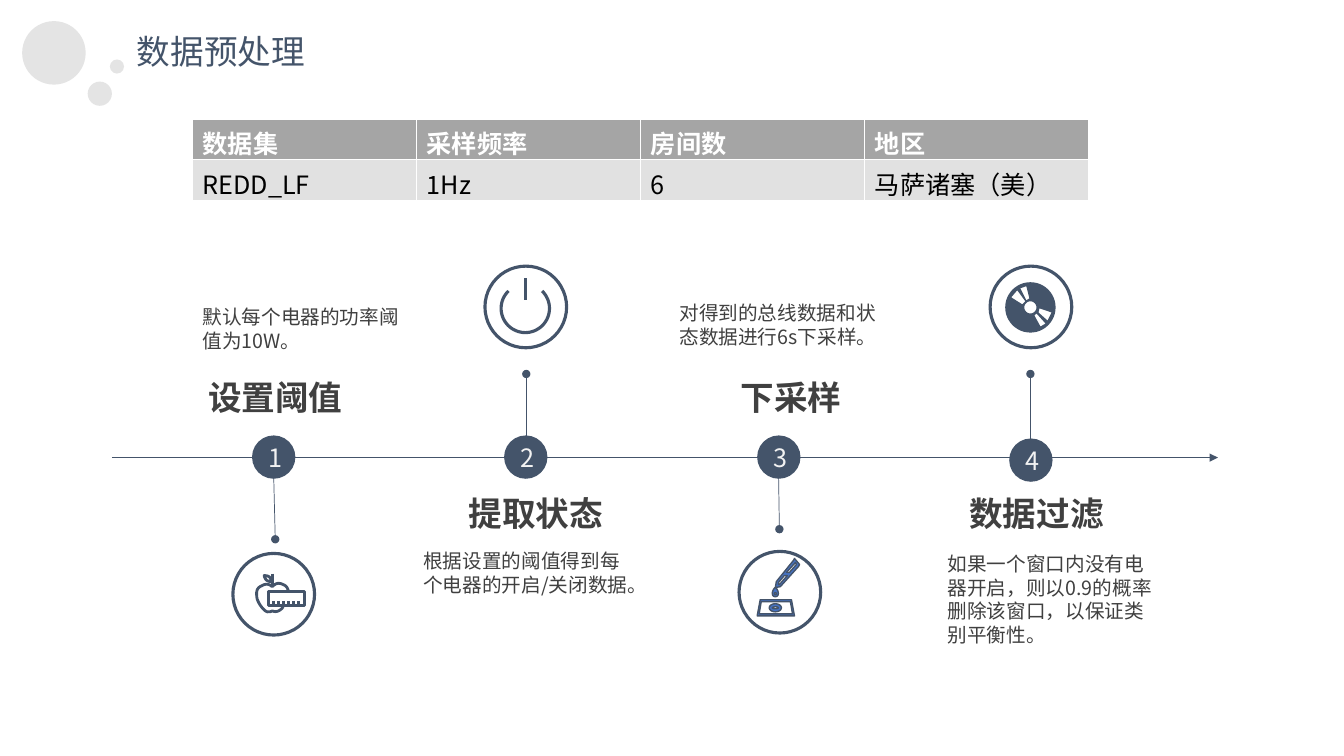
import math

from lxml import etree
from pptx import Presentation
from pptx import util as u
from pptx.dml.color import RGBColor
from pptx.enum import shapes, text
from pptx.oxml.ns import qn

PX = 9144  # 100 px to the inch
FONT = "Noto Sans CJK SC"
NAVY = RGBColor(0x44, 0x54, 0x6A)
BLUE = RGBColor(0x44, 0x72, 0xC4)
INK = RGBColor(0x40, 0x40, 0x40)
BLACK = RGBColor(0, 0, 0)
WHITE = RGBColor(0xFF, 0xFF, 0xFF)
PALE = RGBColor(0xF2, 0xF2, 0xF2)
BUBBLE = RGBColor(0xD9, 0xD9, 0xD9)
HEADER = RGBColor(0xA5, 0xA5, 0xA5)
BODY = RGBColor(0xE1, 0xE1, 0xE1)

TABLE = [["数据集", "采样频率", "房间数", "地区"],
         ["REDD_LF", "1Hz", "6", "马萨诸塞（美）"]]


def emu(*lengths):
    return [u.Emu(round(length * PX)) for length in lengths]


def style_text(frame, size, color, bold=False):
    for para in frame.paragraphs:
        for span in para.runs:
            font = span.font
            font.size, font.bold, font.name = u.Pt(size), bold, FONT
            font.color.rgb = color
            etree.SubElement(font._element, qn("a:ea"), typeface=FONT)


def paint(shape, fill=None, line=None, width=1):
    shape.shadow.inherit = False
    if fill is None:
        shape.fill.background()
    else:
        shape.fill.solid()
        shape.fill.fore_color.rgb = fill
    if line is None:
        shape.line.fill.background()
    else:
        shape.line.color.rgb = line
        shape.line.width = u.Pt(width)


def add_text(page, box, words, size, color, bold=False, wrap=True):
    frame = page.shapes.add_textbox(*emu(*box)).text_frame
    frame.text = words
    frame.word_wrap = wrap
    frame.auto_size = text.MSO_AUTO_SIZE.SHAPE_TO_FIT_TEXT
    style_text(frame, size, color, bold)
    return frame.paragraphs[0]


def add_line(page, start, end, head=None, tail=None):
    line = page.shapes.add_connector(shapes.MSO_CONNECTOR.STRAIGHT, *emu(*start, *end))
    line.line.color.rgb = NAVY
    line.line.width = u.Pt(0.5)
    for tag, kind in (("a:headEnd", head), ("a:tailEnd", tail)):
        if kind:
            etree.SubElement(line.line._get_or_add_ln(), qn(tag), type=kind)
    etree.SubElement(line._element.spPr, qn("a:effectLst"))


def arc(cx, cy, rx, ry, start=0, end=360):
    angles = [math.radians(start + (end - start) * i / 48) for i in range(49)]
    return [(cx + rx * math.cos(a), cy + ry * math.sin(a)) for a in angles]


def curve(start, *pieces):
    """Flatten a chain of cubic Bezier pieces, each given by three points."""
    points = [start]
    for b, c, d in pieces:
        a = points[-1]
        for t in (i / 8 for i in range(1, 9)):
            s = 1 - t
            points.append(tuple(s**3 * a[k] + 3 * s * s * t * b[k] + 3 * s * t * t * c[k]
                                + t**3 * d[k] for k in (0, 1)))
    return points


def add_outline(page, origin, contours, close=True, **look):
    """Draw contours, measured from origin, as one shape."""
    placed = [[emu(origin[0] + x, origin[1] + y) for x, y in c] for c in contours]
    builder = page.shapes.build_freeform(*placed[0][0])
    for index, points in enumerate(placed):
        if index:
            builder.move_to(*points[0])
        builder.add_line_segments(points[1:], close=close)
    paint(builder.convert_to_shape(), **look)


def draw_ruler_apple(page, origin):
    apple = curve((55, 37), ((54, 34), (53, 32), (50, 31)), ((46, 29), (43, 29), (39, 33)),
                  ((36, 30), (32, 30), (29, 32)), ((23, 34), (23, 39), (24, 45)),
                  ((26, 51), (31, 57), (34, 58)), ((36, 58), (38, 58), (39, 57)),
                  ((43, 59), (47, 57), (50, 53)))
    leaf = curve((31, 22), ((36, 22), (38, 24), (38, 28)), ((34, 28), (32, 26), (31, 22)))
    ruler = [(35, 38), (71, 38), (71, 52), (35, 52), (35, 38)]
    ticks = [[(x, 47), (x, 52)] for x in range(40, 66, 5)]
    add_outline(page, origin, [apple, leaf, ruler, [(39, 20), (39, 33)], *ticks],
                close=False, line=NAVY, width=2)


def draw_power(page, origin):
    add_outline(page, origin, [arc(40, 42, 24, 24, -46, 226), [(40, 12), (40, 34)]],
                close=False, line=NAVY, width=2.25)


def draw_dropper(page, origin):
    dropper = [(55, 7), (60, 13), (59, 15), (41, 35), (36, 36), (37, 30), (54, 9)]
    window = [(56, 11), (47, 21), (50, 21), (57, 13)]
    liquid = [(45, 24), (39, 31), (39, 33), (40, 33), (48, 24)]
    drop = curve((36, 36), ((37, 36), (39, 39), (39, 42)), ((39, 46), (33, 46), (33, 42)),
                 ((33, 39), (35, 36), (36, 36)))
    tray = [(21, 48), (52, 48), (55, 64), (18, 64)]
    inside = [(22, 50), (51, 50), (53, 62), (20, 62)]
    add_outline(page, origin, [dropper, window, liquid, drop, arc(36, 42, 1, 1), tray, inside,
                               arc(36, 56, 6, 4), arc(36, 56, 3, 1)],
                fill=BLUE, line=NAVY)


def draw_disc(page, origin):
    glints = [[(36, 34), (39, 32), (36, 20), (30, 22)], [(21, 31), (32, 38), (35, 35), (27, 24)],
              [(46, 47), (44, 49), (50, 60), (55, 57)], [(61, 46), (49, 42), (48, 46), (57, 54)]]
    add_outline(page, origin, [arc(40, 41, 25, 25), arc(40, 41, 6, 6), *glints], fill=NAVY)


# badge place, stem ends, ring place, icon, heading box, heading, note box, note
STEPS = [
    ((250, 432), ((271, 453), (273, 535)), (231, 549), draw_ruler_apple,
     (187, 372, 172, 48), "设置阈值",
     (191, 298, 225, 57), "默认每个电器的功率阈值为10W。"),
    ((500, 432), ((522, 371), (522, 469)), (481, 264), draw_power,
     (449, 487, 165, 48), "提取状态",
     (410, 540, 225, 57), "根据设置的阈值得到每个电器的开启/关闭数据。"),
    ((751, 432), ((772, 456), (773, 525)), (733, 547), draw_dropper,
     (702, 372, 165, 48), "下采样",
     (664, 294, 225, 57), "对得到的总线数据和状态数据进行6s下采样。"),
    ((1001, 435), ((1022, 371), (1022, 445)), (982, 264), draw_disc,
     (950, 487, 156, 48), "数据过滤",
     (930, 543, 225, 104), "如果一个窗口内没有电器开启，则以0.9的概率删除该窗口，以保证类别平衡性。"),
]


def add_title(page, left, top):
    for x, y, size in ((0, 0, 63), (65, 60, 24), (87, 38, 14)):
        bubble = page.shapes.add_shape(shapes.MSO_SHAPE.FLOWCHART_CONNECTOR,
                                       *emu(left + x, top + y, size, size))
        paint(bubble, fill=BUBBLE)
        color = bubble._element.spPr.find(qn("a:solidFill"))[0]
        etree.SubElement(color, qn("a:alpha"), val="70000")
    add_text(page, (left + 104, top + 5, 188, 50), "数据预处理", 24, NAVY, wrap=False)


def add_dataset_table(page, box):
    table = page.shapes.add_table(len(TABLE), len(TABLE[0]), *emu(*box)).table
    for r, row in enumerate(TABLE):
        for c, words in enumerate(row):
            cell = table.cell(r, c)
            cell.text = words
            cell.fill.solid()
            cell.fill.fore_color.rgb = BODY if r else HEADER
            style_text(cell.text_frame, 18, BLACK if r else WHITE, bold=not r)


def add_step(page, number, badge_at, ring_at, draw_icon, heading_box, heading, note_box, note):
    badge = page.shapes.add_shape(shapes.MSO_SHAPE.OVAL, *emu(*badge_at, 43, 43))
    paint(badge, fill=NAVY)
    frame = badge.text_frame
    frame.text = str(number)
    frame.vertical_anchor = text.MSO_ANCHOR.MIDDLE
    frame.paragraphs[0].alignment = text.PP_ALIGN.CENTER
    style_text(frame, 18, PALE)
    ring = page.shapes.add_shape(shapes.MSO_SHAPE.OVAL, *emu(*ring_at, 81, 81))
    paint(ring, line=NAVY, width=2.25)
    draw_icon(page, ring_at)
    add_text(page, note_box, note, 14, INK)
    para = add_text(page, heading_box, heading, 24, INK, bold=True)
    para.alignment = text.PP_ALIGN.CENTER
    para.line_spacing = 0.94


def add_timeline(page, left, top, width):
    for _, (start, end), *_ in STEPS:
        add_line(page, start, end, "oval", "oval")
    add_line(page, (left, top), (left + width, top), tail="triangle")
    for number, (badge_at, _, *parts) in enumerate(STEPS, 1):
        add_step(page, number, badge_at, *parts)


def main():
    deck = Presentation()
    deck.slide_width, deck.slide_height = emu(1333, 750)
    page = deck.slides.add_slide(deck.slide_layouts[6])
    add_title(page, 22, 21)
    add_timeline(page, 111, 454, 1097)
    add_dataset_table(page, (191, 118, 889, 81))
    deck.save("out.pptx")


if __name__ == "__main__":
    main()
